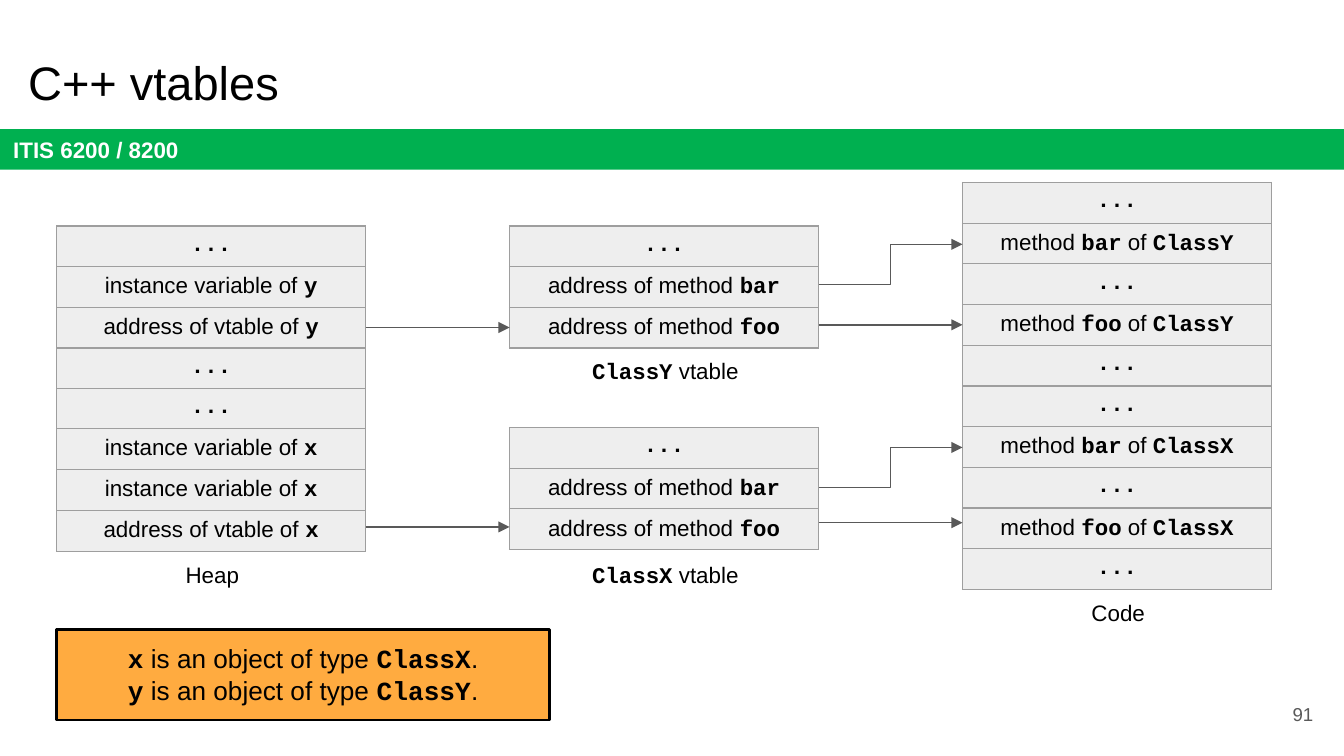
import dataclasses
import pptx
import pptx.util
import pptx.dml.color
import pptx.enum.shapes
import pptx.enum.text
import pptx.oxml
import pptx.oxml.ns
import pptx.shapes.connector
import pptx.slide
import pptx.text.text

Cm = pptx.util.Cm
Pt = pptx.util.Pt
Align = pptx.enum.text.PP_ALIGN
Anchor = pptx.enum.text.MSO_ANCHOR
Link = pptx.enum.shapes.MSO_CONNECTOR
BOX = pptx.enum.shapes.MSO_SHAPE.RECTANGLE

LEFT, PITCH, WIDTH, ROW = 1.07, 8.56, 5.84, 0.762
GREY = "595959"
DOTS = "`...`"


@dataclasses.dataclass
class Stack:
    col: int
    top: float
    rows: list[str]
    note: str = ""
    gap: float = 0

    @property
    def left(self) -> float:
        return LEFT + self.col * PITCH


@dataclasses.dataclass
class Arrow:
    col: int
    start: float
    end: float


VTABLE = [DOTS, "address of method `bar`", "address of method `foo`"]
VAR_X = "instance variable of `x`"
HEAP = [DOTS, "instance variable of `y`", "address of vtable of `y`", DOTS,
        DOTS, VAR_X, VAR_X, "address of vtable of `x`"]
CODE = [DOTS, "method `bar` of `ClassY`", DOTS, "method `foo` of `ClassY`", DOTS,
        DOTS, "method `bar` of `ClassX`", DOTS, "method `foo` of `ClassX`", DOTS]

STACKS = [
    Stack(0, 4.27, HEAP, "Heap"),
    Stack(1, 4.27, VTABLE, "`ClassY` vtable", -0.05),
    Stack(1, 8.08, VTABLE, "`ClassX` vtable"),
    Stack(2, 3.45, CODE, "Code"),
]
ARROWS = [
    Arrow(0, 6.19, 6.19),
    Arrow(0, 9.96, 9.96),
    Arrow(1, 6.14, 6.14),
    Arrow(1, 9.88, 9.88),
    Arrow(1, 5.38, 4.62),
    Arrow(1, 9.22, 8.46),
]


def tint(code: str) -> pptx.dml.color.RGBColor:
    return pptx.dml.color.RGBColor.from_string(code)


def pad(frame: pptx.text.text.TextFrame, left: float = 0.25) -> None:
    frame.word_wrap = True
    frame.margin_left = Cm(left)
    frame.margin_right = frame.margin_top = frame.margin_bottom = Cm(0.25)


def style(run: pptx.text.text._Run, size: float, color: str = "000000",
          bold: bool = False, face: str = "Arial") -> None:
    run.font.name = face
    run.font.size = Pt(size)
    run.font.bold = bold
    run.font.color.rgb = tint(color)


def write(frame: pptx.text.text.TextFrame, lines: list[str], size: float) -> None:
    for i, line in enumerate(lines):
        para = frame.add_paragraph() if i else frame.paragraphs[0]
        para.alignment = Align.CENTER
        for j, part in enumerate(line.split("`")):
            if part:
                run = para.add_run()
                run.text = part
                code = j % 2 == 1
                style(run, size, bold=code, face="Courier New" if code else "Arial")


def edge(cell: pptx.table._Cell) -> None:
    props = cell._tc.get_or_add_tcPr()
    for i, side in enumerate(("lnL", "lnR", "lnT", "lnB")):
        props.insert(i, pptx.oxml.parse_xml(
            f'<a:{side} {pptx.oxml.ns.nsdecls("a")} w="{Pt(0.75)}"><a:solidFill>'
            f'<a:srgbClr val="9E9E9E"/></a:solidFill></a:{side}>'))


def draw_stack(slide: pptx.slide.Slide, stack: Stack) -> None:
    count = len(stack.rows)
    high = count * ROW
    table = slide.shapes.add_table(count, 1, Cm(stack.left), Cm(stack.top),
                                   Cm(WIDTH), Cm(high)).table
    table.first_row = table.horz_banding = False
    for i, text in enumerate(stack.rows):
        table.rows[i].height = Cm(ROW)
        cell = table.cell(i, 0)
        cell.margin_left = cell.margin_right = Cm(0.13)
        cell.margin_top = cell.margin_bottom = Cm(0.13)
        cell.fill.solid()
        cell.fill.fore_color.rgb = tint("EEEEEE")
        edge(cell)
        write(cell.text_frame, [text], 12)
    note = slide.shapes.add_textbox(Cm(stack.left), Cm(stack.top + high + stack.gap),
                                    Cm(WIDTH), Cm(1.02))
    pad(note.text_frame, 0.3)
    write(note.text_frame, [stack.note], 12)


def draw_arrow(slide: pptx.slide.Slide, arrow: Arrow) -> None:
    kind = Link.STRAIGHT if arrow.start == arrow.end else Link.ELBOW
    left = LEFT + arrow.col * PITCH + WIDTH
    right = LEFT + (arrow.col + 1) * PITCH
    line = slide.shapes.add_connector(kind, Cm(left), Cm(arrow.start),
                                      Cm(right), Cm(arrow.end))
    line.line.color.rgb = tint(GREY)
    line.line.width = Pt(0.75)
    names = pptx.oxml.ns.nsdecls("a")
    line.line._get_or_add_ln().append(
        pptx.oxml.parse_xml(f'<a:tailEnd {names} type="triangle"/>'))
    line._element.spPr.append(pptx.oxml.parse_xml(f"<a:effectLst {names}/>"))


def draw_bar(slide: pptx.slide.Slide) -> None:
    bar = slide.shapes.add_shape(BOX, 0, Cm(2.44), Cm(25.4), Cm(0.77))
    bar.shadow.inherit = False
    bar.fill.solid()
    bar.fill.fore_color.rgb = tint("00B050")
    bar.line.fill.background()
    frame = bar.text_frame
    pad(frame)
    frame.vertical_anchor = Anchor.MIDDLE
    frame.text = "ITIS 6200 / 8200"
    frame.paragraphs[0].alignment = Align.LEFT
    style(frame.paragraphs[0].runs[0], 12, "FFFFFF", True)


def draw_title(slide: pptx.slide.Slide) -> None:
    title = slide.shapes.title
    title.left, title.top = Cm(0.28), Cm(0.76)
    title.width, title.height = Cm(23.67), Cm(1.6)
    frame = title.text_frame
    pad(frame)
    frame.auto_size = pptx.enum.text.MSO_AUTO_SIZE.NONE
    frame.vertical_anchor = Anchor.TOP
    frame.text = "C++ vtables"
    frame.paragraphs[0].alignment = Align.LEFT
    style(frame.paragraphs[0].runs[0], 25.2)


def draw_key(slide: pptx.slide.Slide) -> None:
    key = slide.shapes.add_shape(BOX, Cm(LEFT), Cm(11.9), Cm(9.32), Cm(1.71))
    key.shadow.inherit = False
    key.fill.solid()
    key.fill.fore_color.rgb = tint("FFAB40")
    key.line.color.rgb = tint("000000")
    key.line.width = Pt(1.5)
    pad(key.text_frame)
    key.text_frame.vertical_anchor = Anchor.TOP
    write(key.text_frame, ["`x` is an object of type `ClassX`.",
                           "`y` is an object of type `ClassY`."], 14)


def draw_page(slide: pptx.slide.Slide) -> None:
    frame = slide.shapes.add_textbox(Cm(23.55), Cm(12.95), Cm(1.52), Cm(1.09)).text_frame
    pad(frame)
    frame.vertical_anchor = Anchor.MIDDLE
    frame.text = "91"
    frame.paragraphs[0].alignment = Align.RIGHT
    style(frame.paragraphs[0].runs[0], 10, GREY)


def main() -> None:
    deck = pptx.Presentation()
    deck.slide_width, deck.slide_height = Cm(25.4), Cm(14.29)
    slide = deck.slides.add_slide(deck.slide_layouts.get_by_name("Title Only"))
    draw_bar(slide)
    draw_title(slide)
    draw_key(slide)
    for stack in STACKS:
        draw_stack(slide, stack)
    for arrow in ARROWS:
        draw_arrow(slide, arrow)
    draw_page(slide)
    deck.save("out.pptx")


if __name__ == "__main__":
    main()
